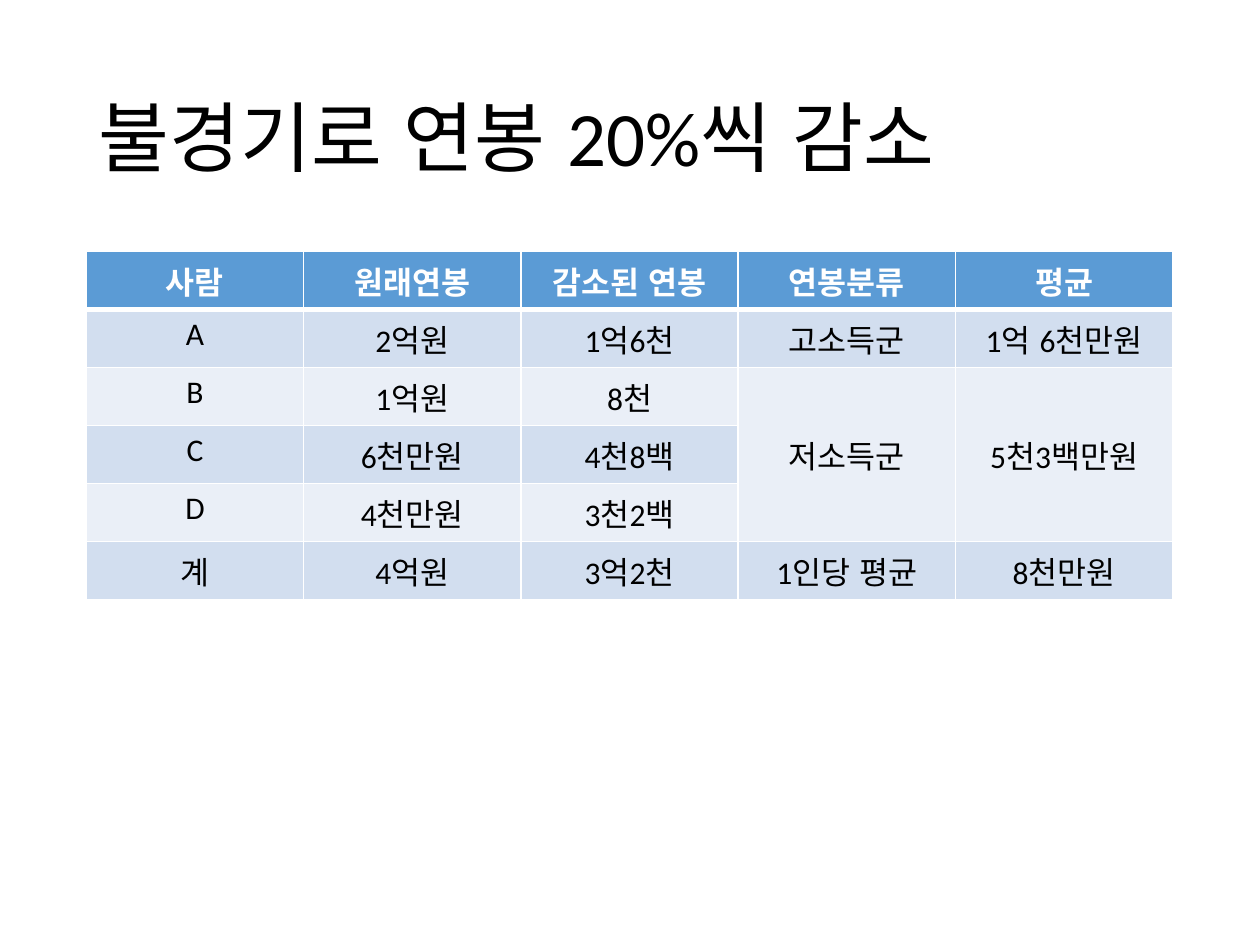
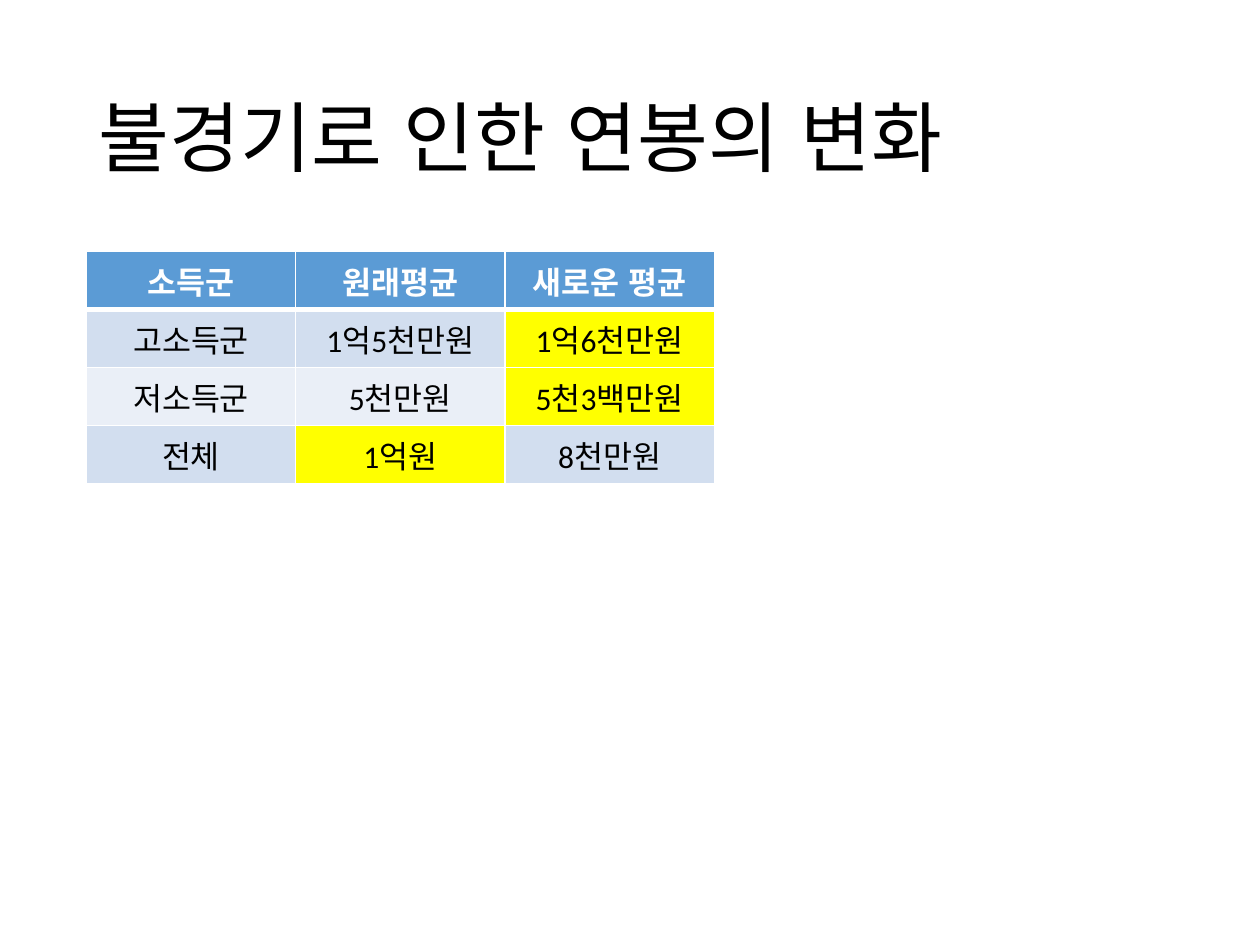
from lxml import etree
from pptx import Presentation
from pptx.dml.color import RGBColor
from pptx.enum import lang, text
from pptx.oxml import ns
from pptx.util import Cm, Pt

FONT = "Calibri"
WHITE, BLACK = "FFFFFF", "000000"
HEADER, BANDS, HIGHLIGHT = "5B9BD5", ("D2DEEF", "EAEFF7"), "FFFF00"
LEFT, TITLE_TOP, TABLE_TOP = Cm(1.74), Cm(1.01), Cm(5.07)
TITLE_WIDTH, TITLE_HEIGHT = Cm(21.9), Cm(3.68)
ROW_HEIGHT = Cm(1.17)

# Cells are addressed as (row, column); a merge runs from its first to its last cell.
SLIDES = [
    {
        "title": "불경기로 연봉 20%씩 감소",
        "column_width": Cm(4.38),
        "rows": [
            ("사람", "원래연봉", "감소된 연봉", "연봉분류", "평균"),
            ("A", "2억원", "1억6천", "고소득군", "1억 6천만원"),
            ("B", "1억원", "8천", "저소득군", "5천3백만원"),
            ("C", "6천만원", "4천8백", "", ""),
            ("D", "4천만원", "3천2백", "", ""),
            ("계", "4억원", "3억2천", "1인당 평균", "8천만원"),
        ],
        "merges": [((2, 3), (4, 3)), ((2, 4), (4, 4))],
        "middle_columns": (3, 4),
        "highlights": (),
    },
    {
        "title": "불경기로 인한 연봉의 변화",
        "column_width": Cm(4.22),
        "rows": [
            ("소득군", "원래평균", "새로운 평균"),
            ("고소득군", "1억5천만원", "1억6천만원"),
            ("저소득군", "5천만원", "5천3백만원"),
            ("전체", "1억원", "8천만원"),
        ],
        "merges": [],
        "middle_columns": (),
        "highlights": ((1, 2), (2, 2), (3, 1)),
    },
]


def rgb(color):
    return RGBColor.from_string(color)


def add_run(paragraph, words, size, color, bold=False):
    run = paragraph.add_run()
    run.text = words
    run.font.name, run.font.size, run.font.bold = FONT, Pt(size), bold
    run.font.language_id = lang.MSO_LANGUAGE_ID.KOREAN
    run.font.color.rgb = rgb(color)


def add_title(slide, words):
    box = slide.shapes.add_textbox(LEFT, TITLE_TOP, TITLE_WIDTH, TITLE_HEIGHT)
    frame = box.text_frame
    frame.word_wrap = True
    frame.vertical_anchor = text.MSO_ANCHOR.MIDDLE
    frame.paragraphs[0].line_spacing = 0.9
    add_run(frame.paragraphs[0], words, 44, BLACK)


def add_borders(cell, row):
    """White rules, with a thick one between the header and the body."""
    widths = {"L": 1, "R": 1, "T": 3 if row == 1 else 1, "B": 3 if row == 0 else 1}
    properties = cell._tc.get_or_add_tcPr()
    for side, width in widths.items():
        line = etree.SubElement(properties, ns.qn(f"a:ln{side}"), w=str(Pt(width)))
        fill = etree.SubElement(line, ns.qn("a:solidFill"))
        etree.SubElement(fill, ns.qn("a:srgbClr"), val=WHITE)


def cell_color(position, highlights):
    row = position[0]
    if row == 0:
        return HEADER
    return HIGHLIGHT if position in highlights else BANDS[(row - 1) % 2]


def add_salary_table(slide, content):
    rows, width = content["rows"], content["column_width"]
    columns = len(rows[0])
    table = slide.shapes.add_table(
        len(rows), columns, LEFT, TABLE_TOP, width * columns, ROW_HEIGHT * len(rows)
    ).table
    for column in table.columns:
        column.width = width
    for row in table.rows:
        row.height = ROW_HEIGHT
    for first, last in content["merges"]:
        table.cell(*first).merge(table.cell(*last))

    for r, row in enumerate(rows):
        for c, words in enumerate(row):
            cell = table.cell(r, c)
            add_borders(cell, r)
            cell.fill.solid()
            cell.fill.fore_color.rgb = rgb(cell_color((r, c), content["highlights"]))
            if r and c in content["middle_columns"]:
                cell.vertical_anchor = text.MSO_ANCHOR.MIDDLE
            if words:
                paragraph = cell.text_frame.paragraphs[0]
                paragraph.alignment = text.PP_ALIGN.CENTER
                add_run(paragraph, words, 18, BLACK if r else WHITE, bold=r == 0)


def main():
    presentation = Presentation()
    presentation.slide_width, presentation.slide_height = Cm(25.4), Cm(19.05)
    for content in SLIDES:
        slide = presentation.slides.add_slide(presentation.slide_layouts[6])
        add_title(slide, content["title"])
        add_salary_table(slide, content)
    presentation.save("out.pptx")


if __name__ == "__main__":
    main()
